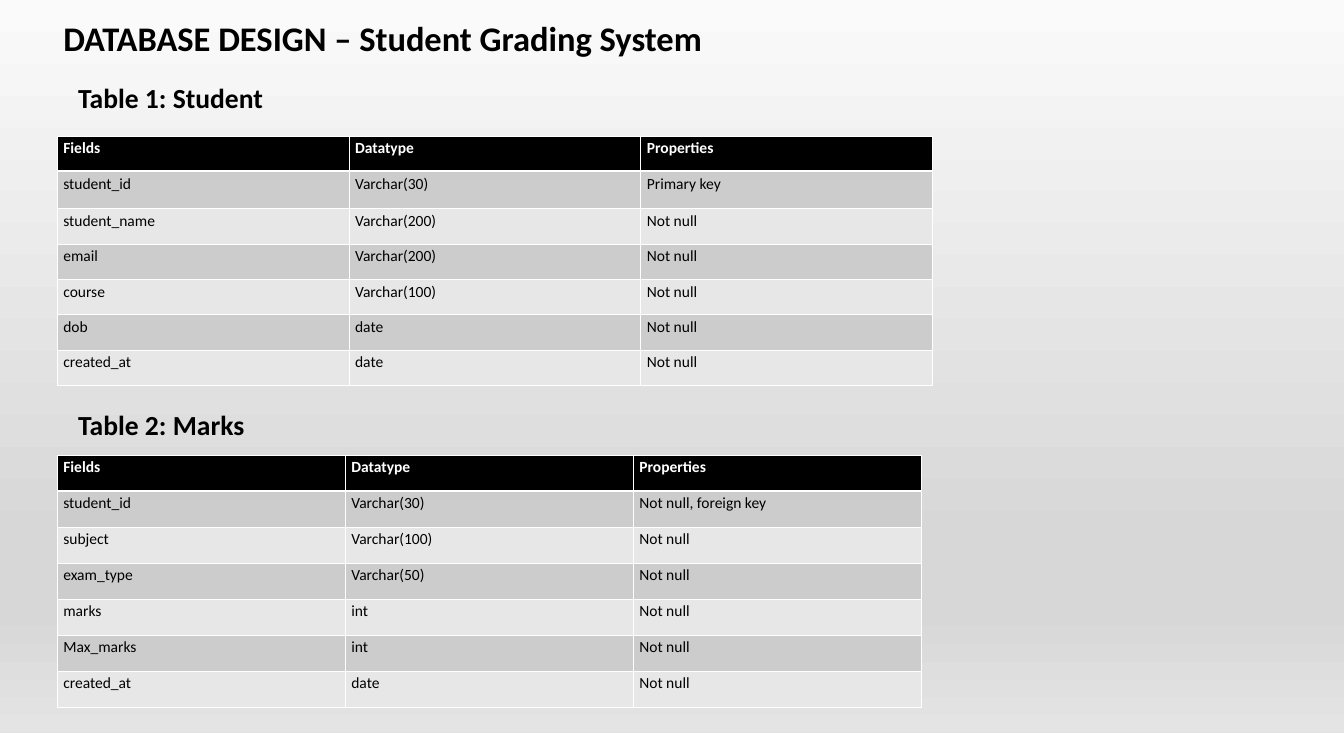
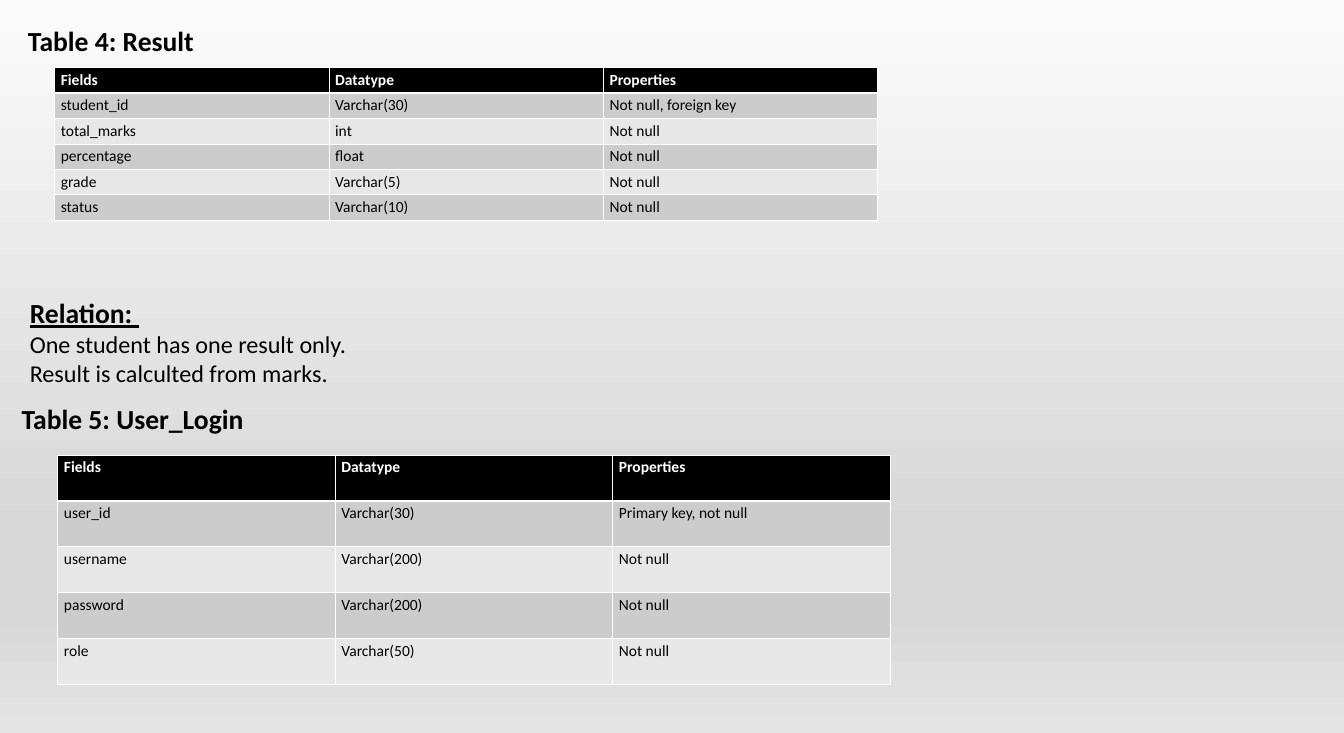
"""Build the database design slides of a student grading system."""
from copy import deepcopy

from lxml.etree import SubElement
from pptx import Presentation
from pptx.dml.color import RGBColor
from pptx.enum.text import MSO_ANCHOR, MSO_AUTO_SIZE, PP_ALIGN
from pptx.oxml.ns import qn
from pptx.util import Inches, Pt

BLACK = RGBColor(0x00, 0x00, 0x00)
WHITE = RGBColor(0xFF, 0xFF, 0xFF)
DARK_BAND = RGBColor(0xCC, 0xCC, 0xCC)
LIGHT_BAND = RGBColor(0xE7, 0xE7, 0xE7)
BACKDROP = [
    (0, RGBColor(0xFA, 0xFA, 0xFA)),
    (0.74, RGBColor(0xD7, 0xD7, 0xD7)),
    (0.83, RGBColor(0xD7, 0xD7, 0xD7)),
    (1, RGBColor(0xE4, 0xE4, 0xE4)),
]
FONT = "Calibri"
TITLE_SIZE, HEADING_SIZE, BODY_SIZE, CELL_SIZE = 40, 32, 28, 18
THIN, THICK = 1, 3
TITLE_AND_CONTENT, TITLE_ONLY = 1, 5

HEADER = ("Fields", "Datatype", "Properties")
STUDENT = [
    ("student_id", "Varchar(30)", "Primary key"),
    ("student_name", "Varchar(200)", "Not null"),
    ("email", "Varchar(200)", "Not null"),
    ("course", "Varchar(100)", "Not null"),
    ("dob", "date", "Not null"),
    ("created_at", "date", "Not null"),
]
MARKS = [
    ("student_id", "Varchar(30)", "Not null, foreign key"),
    ("subject", "Varchar(100)", "Not null"),
    ("exam_type", "Varchar(50)", "Not null"),
    ("marks", "int", "Not null"),
    ("Max_marks", "int", "Not null"),
    ("created_at", "date", "Not null"),
]
RESULT = [
    ("student_id", "Varchar(30)", "Not null, foreign key"),
    ("total_marks", "int", "Not null"),
    ("percentage", "float", "Not null"),
    ("grade", "Varchar(5)", "Not null"),
    ("status", "Varchar(10)", "Not null"),
]
USER_LOGIN = [
    ("user_id", "Varchar(30)", "Primary key, not null"),
    ("username", "Varchar(200)", "Not null"),
    ("password", "Varchar(200)", "Not null"),
    ("role", "Varchar(50)", "Not null"),
]
RELATION = ["One student has one result only.", "Result is calculted from marks."]


def set_backdrop(master):
    """Give every slide the shared grey gradient."""
    fill = master.background.fill
    fill.gradient()
    fill.gradient_angle = 270
    stop_list = next(master.element.iter(qn("a:gsLst")))
    while len(stop_list) < len(BACKDROP):
        stop_list.append(deepcopy(stop_list[0]))
    for stop, (position, color) in zip(fill.gradient_stops, BACKDROP):
        stop.position = position
        stop.color.rgb = color


def add_span(para, text, size, bold=False, color=BLACK, underline=False):
    """Add one formatted run to a paragraph."""
    span = para.add_run()
    span.text = text
    font = span.font
    font.name, font.size, font.bold = FONT, Pt(size), bold
    font.underline = underline
    font.color.rgb = color


def place(box, left, top, width, height):
    """Move a text shape and make its text start at the top left."""
    box.left, box.top = Inches(left), Inches(top)
    box.width, box.height = Inches(width), Inches(height)
    frame = box.text_frame
    frame.word_wrap = True
    frame.auto_size = MSO_AUTO_SIZE.SHAPE_TO_FIT_TEXT
    frame.vertical_anchor = MSO_ANCHOR.TOP
    frame.paragraphs[0].alignment = PP_ALIGN.LEFT


def fill_title(page, text, size, at):
    """Fill the title placeholder and return its paragraph."""
    box = page.shapes.title
    place(box, *at)
    para = box.text_frame.paragraphs[0]
    add_span(para, text, size, bold=True)
    return para


def add_heading(page, text, at):
    """Add the heading above a table."""
    box = page.shapes.add_textbox(0, 0, 0, 0)
    place(box, *at)
    add_span(box.text_frame.paragraphs[0], text, HEADING_SIZE, bold=True)


def fill_relation(page, heading, lines, at):
    """Fill the body placeholder with an underlined heading and plain lines."""
    box = page.placeholders[1]
    place(box, *at)
    frame = box.text_frame
    add_span(frame.paragraphs[0], heading, HEADING_SIZE, bold=True, underline=True)
    for line in lines:
        add_span(frame.add_paragraph(), line, BODY_SIZE)
    for para in frame.paragraphs:
        para.space_before = Pt(0)
        properties = para._p.get_or_add_pPr()
        properties.set("marL", "0")
        properties.set("indent", "0")
        SubElement(properties, qn("a:buNone"))


def set_borders(cell, top, bottom):
    """Draw white borders around a cell."""
    properties = cell._tc.get_or_add_tcPr()
    widths = {"a:lnL": THIN, "a:lnR": THIN, "a:lnT": top, "a:lnB": bottom}
    for index, (tag, width) in enumerate(widths.items()):
        line = SubElement(properties, qn(tag), w=str(Pt(width)))
        properties.insert(index, line)
        solid = SubElement(line, qn("a:solidFill"))
        SubElement(solid, qn("a:srgbClr"), val=str(WHITE))


def add_field_table(page, records, left, top, column_width, row_heights):
    """Add a banded table of fields under a black header row."""
    rows = [HEADER, *records]
    grid = page.shapes.add_table(
        len(rows), len(HEADER), Inches(left), Inches(top),
        Inches(column_width * len(HEADER)), Inches(sum(row_heights)),
    ).table
    for column in grid.columns:
        column.width = Inches(column_width)
    for index, (values, height) in enumerate(zip(rows, row_heights)):
        grid.rows[index].height = Inches(height)
        is_header = index == 0
        band = BLACK if is_header else (LIGHT_BAND, DARK_BAND)[index % 2]
        for cell, value in zip(grid.rows[index].cells, values):
            cell.fill.solid()
            cell.fill.fore_color.rgb = band
            set_borders(cell, THICK if index == 1 else THIN, THICK if is_header else THIN)
            add_span(cell.text_frame.paragraphs[0], value, CELL_SIZE,
                     bold=is_header, color=WHITE if is_header else BLACK)


def build_student_page(deck):
    """Build the slide with the student and marks tables."""
    page = deck.slides.add_slide(deck.slide_layouts[TITLE_ONLY])
    para = fill_title(page, "DATABASE DESIGN – Student Grading System", TITLE_SIZE,
                      (0.92, 0.13, 15.32, 0.83))
    para.line_spacing = 1.15
    para.space_after = Pt(10)
    add_heading(page, "Table 1: Student", (1.16, 1.26, 5.37, 0.64))
    add_field_table(page, STUDENT, 0.92, 2.19, 4.7, [0.57, 0.6] + [0.57] * 5)
    add_heading(page, "Table 2: Marks", (1.16, 6.52, 3.98, 0.64))
    add_field_table(page, MARKS, 0.92, 7.33, 4.64, [0.58] * 7)


def build_result_page(deck):
    """Build the slide with the result and login tables."""
    page = deck.slides.add_slide(deck.slide_layouts[TITLE_AND_CONTENT])
    fill_title(page, "Table 4: Result", HEADING_SIZE, (0.35, 0.33, 4.73, 0.64))
    add_field_table(page, RESULT, 0.88, 1.09, 4.42, [0.41] * 6)
    fill_relation(page, "Relation: ", RELATION, (0.38, 4.72, 7.87, 1.58))
    add_heading(page, "Table 5: User_Login", (0.25, 6.42, 4.73, 0.64))
    add_field_table(page, USER_LOGIN, 0.93, 7.33, 4.47, [0.74] * 5)


def main():
    """Build and save the deck."""
    deck = Presentation()
    deck.slide_width, deck.slide_height = Inches(21.65), Inches(11.81)
    set_backdrop(deck.slide_master)
    build_student_page(deck)
    build_result_page(deck)
    deck.save("out.pptx")


if __name__ == "__main__":
    main()
